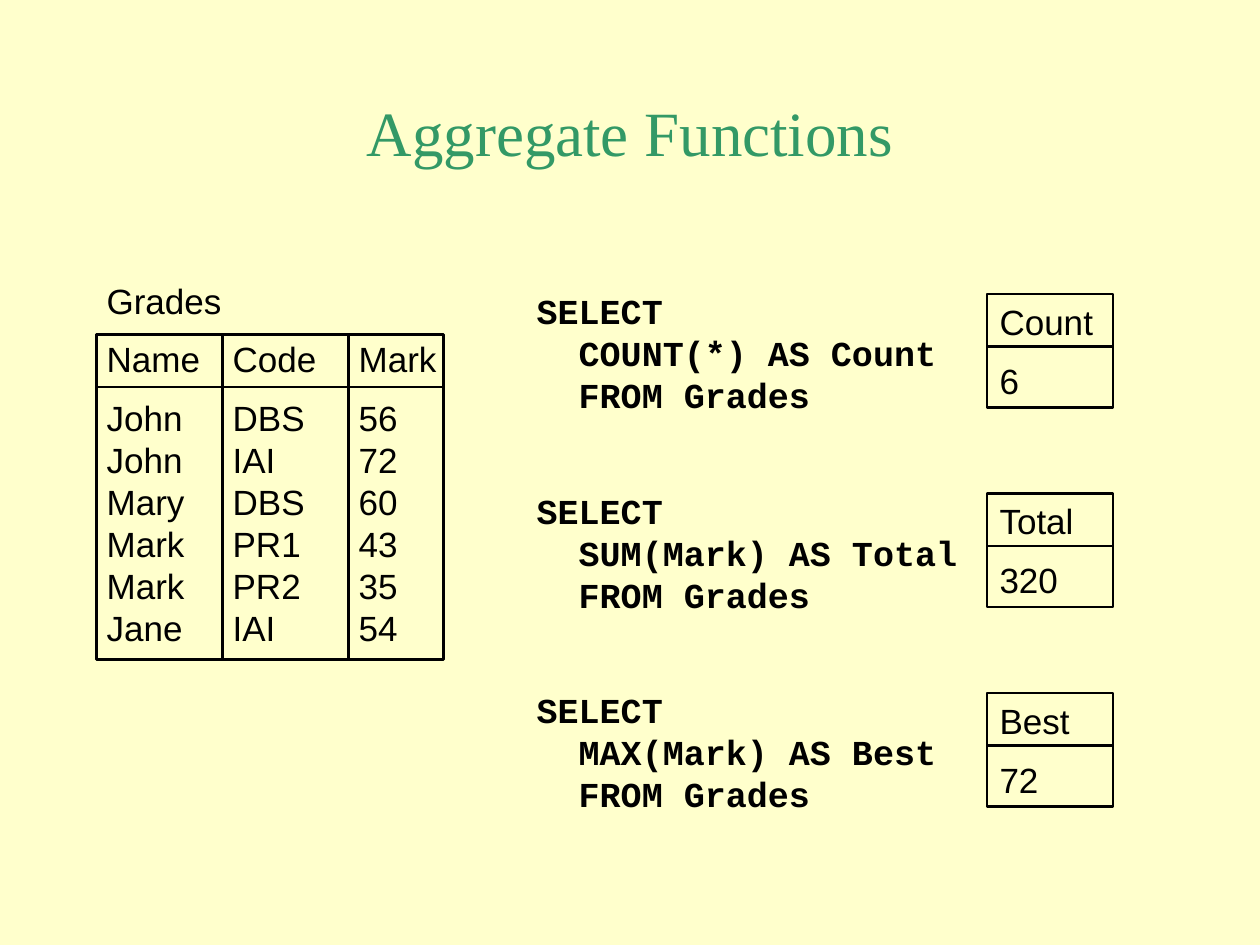
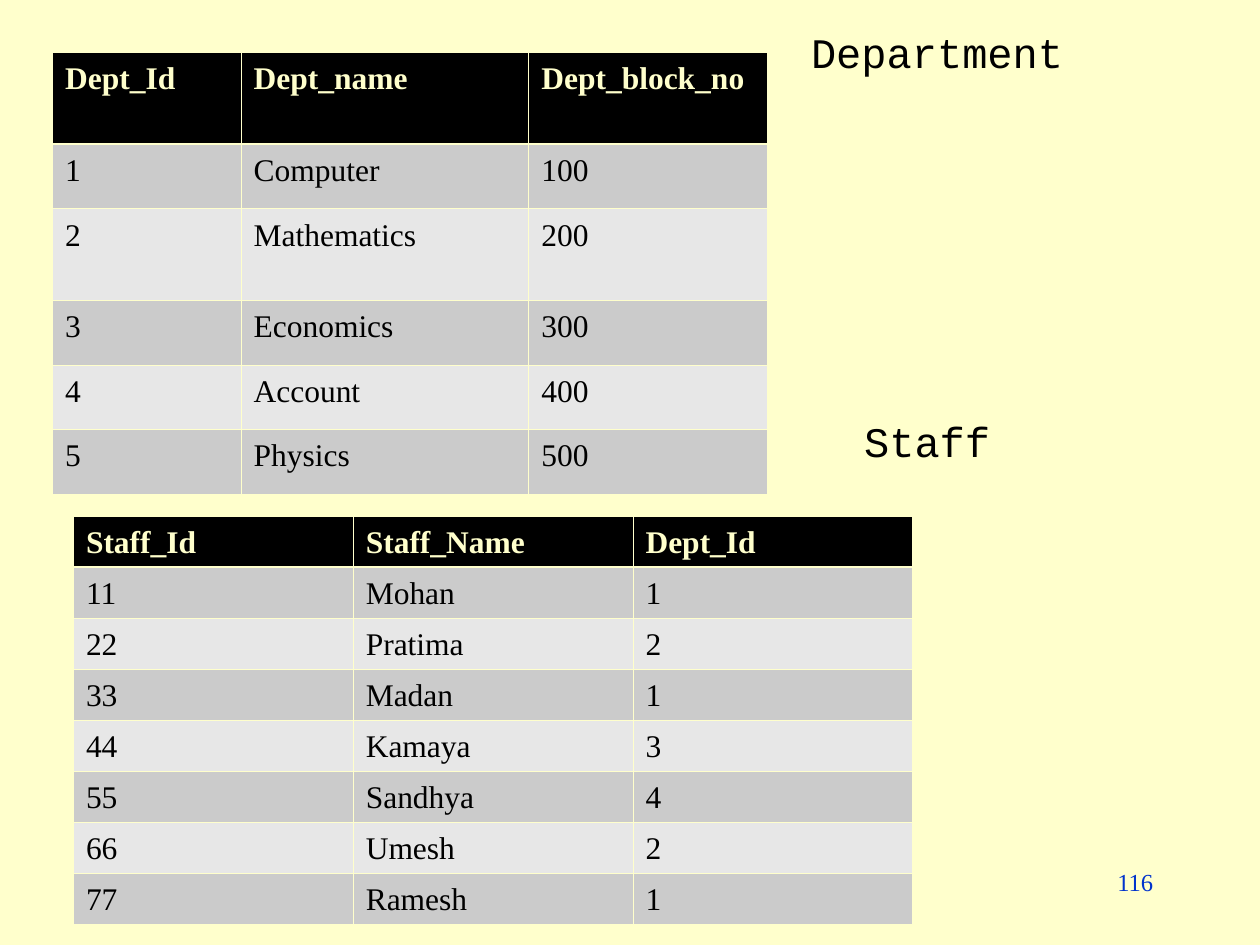
from lxml import etree
from pptx import Presentation
from pptx.dml.color import RGBColor
from pptx.enum.shapes import MSO_CONNECTOR, MSO_SHAPE
from pptx.enum.text import MSO_ANCHOR, PP_ALIGN
from pptx.oxml.ns import qn
from pptx.util import Cm, Pt

LEFT, CENTER, RIGHT = PP_ALIGN.LEFT, PP_ALIGN.CENTER, PP_ALIGN.RIGHT
TOP, MIDDLE = MSO_ANCHOR.TOP, MSO_ANCHOR.MIDDLE
RECTANGLE, STRAIGHT = MSO_SHAPE.RECTANGLE, MSO_CONNECTOR.STRAIGHT

CREAM, BLACK, GREEN, BLUE = "FFFFCC", "000000", "339966", "0033CC"
BANDS = "CBCBCB", "E7E7E7"
SERIF, SANS, MONO = "Times New Roman", "Arial", "Courier New"
INCH = 2.54
HEADER_HEIGHT = 1.06


def color(value):
    """Return the colour for a hex string."""
    return RGBColor.from_string(value)


def write(tf, text, size=20, font=SANS, fill=BLACK, bold=False,
          align=LEFT, anchor=TOP, wrap=True, gaps=(), tabs=()):
    """Fill a text frame line by line; gaps lists the lines that get space before."""
    tf.word_wrap = wrap
    tf.vertical_anchor = anchor
    for i, line in enumerate(text.split("\n")):
        p = tf.paragraphs[0] if i == 0 else tf.add_paragraph()
        p.alignment = align
        p.line_spacing = Pt(1.2 * size)
        if i in gaps:
            p.space_before = Pt(9.6)
        if tabs:
            stops = etree.SubElement(p._p.get_or_add_pPr(), qn("a:tabLst"))
            for stop in tabs:
                etree.SubElement(stops, qn("a:tab"), pos=str(Cm(stop)), algn="l")
        r = p.add_run()
        r.text = line
        r.font.size, r.font.name, r.font.bold = Pt(size), font, bold
        r.font.color.rgb = color(fill)


def set_borders(cell, widths):
    """Draw cream cell borders from widths in points, keyed by side."""
    tc_pr = cell._tc.get_or_add_tcPr()
    for i, side in enumerate("LRTB"):
        ln = etree.Element(qn(f"a:ln{side}"), w=str(Pt(widths.get(side, 0.45))))
        solid = etree.SubElement(ln, qn("a:solidFill"))
        etree.SubElement(solid, qn("a:srgbClr"), val=CREAM)
        tc_pr.insert(i, ln)


class Deck:
    """Hold the shared style and the current slide."""

    def __init__(self):
        """Start a 10 by 7.5 inch deck with a cream background."""
        self.prs = Presentation()
        self.prs.slide_width, self.prs.slide_height = Cm(25.4), Cm(19.05)
        fill = self.prs.slide_master.background.fill
        fill.solid()
        fill.fore_color.rgb = color(CREAM)

    def add_slide(self):
        """Move on to a new blank slide."""
        self.s = self.prs.slides.add_slide(self.prs.slide_layouts[6])

    def text(self, x, y, w, h, text, **style):
        """Add a text box."""
        sp = self.s.shapes.add_textbox(Cm(x), Cm(y), Cm(w), Cm(h))
        write(sp.text_frame, text, **style)

    def title(self, text):
        """Add the slide title."""
        self.text(1.9, 1.7, 21.6, 1.9, text, size=36, font=SERIF,
                  fill=GREEN, align=CENTER, anchor=MIDDLE)

    def number(self, text):
        """Add the slide number."""
        self.text(18.2, 17.35, 5.3, 1.27, text, size=14, font=SERIF,
                  fill=BLUE, align=RIGHT)

    def box(self, x, y, w, h, text="", **style):
        """Add an outlined rectangle, with text if given."""
        sp = self.s.shapes.add_shape(RECTANGLE, Cm(x), Cm(y), Cm(w), Cm(h))
        sp.shadow.inherit = False
        sp.fill.background()
        sp.line.color.rgb = color(BLACK)
        sp.line.width = Pt(1.5)
        if text:
            write(sp.text_frame, text, **style)

    def line(self, x1, y1, x2, y2):
        """Add a straight rule."""
        sp = self.s.shapes.add_connector(STRAIGHT, Cm(x1), Cm(y1), Cm(x2), Cm(y2))
        sp.line.color.rgb = color(BLACK)
        sp.line.width = Pt(1.5)
        etree.SubElement(sp._element.spPr, qn("a:effectLst"))

    def table(self, x, y, widths, heights, rows):
        """Add a banded table with a black header row."""
        table = self.s.shapes.add_table(
            len(rows), len(widths), Cm(x), Cm(y),
            Cm(sum(widths)), Cm(sum(heights))).table
        for column, width in zip(table.columns, widths):
            column.width = Cm(width)
        for i, (row, height) in enumerate(zip(rows, heights)):
            table.rows[i].height = Cm(height)
            header = i == 0
            borders = {0: {"B": 1.47}, 1: {"T": 1.47}}.get(i, {})
            for j, value in enumerate(row):
                cell = table.cell(i, j)
                cell.fill.solid()
                cell.fill.fore_color.rgb = color(BLACK if header else BANDS[(i - 1) % 2])
                set_borders(cell, borders)
                write(cell.text_frame, value, size=18, font=SERIF,
                      fill=CREAM if header else BLACK, bold=header)


GRADES = [
    ("Grades",),
    ("Name", "Code", "Mark"),
    ("John", "DBS", "56"),
    ("John", "IAI", "72"),
    ("Mary", "DBS", "60"),
    ("Mark", "PR1", "43"),
    ("Mark", "PR2", "35"),
    ("Jane", "IAI", "54"),
]
QUERIES = [
    ("COUNT(*)", "Count", "6", 8.56),
    ("SUM(Mark)", "Total", "320", 8.99),
    ("MAX(Mark)", "Best", "72", 8.56),
]
DEPARTMENTS = [
    ("Dept_Id", "Dept_name", "Dept_block_no"),
    ("1", "Computer", "100"),
    ("2", "Mathematics", "200"),
    ("3", "Economics", "300"),
    ("4", "Account", "400"),
    ("5", "Physics", "500"),
]
STAFF = [
    ("Staff_Id", "Staff_Name", "Dept_Id"),
    ("11", "Mohan", "1"),
    ("22", "Pratima", "2"),
    ("33", "Madan", "1"),
    ("44", "Kamaya", "3"),
    ("55", "Sandhya", "4"),
    ("66", "Umesh", "2"),
    ("77", "Ramesh", "1"),
]


def aggregate_slide(deck):
    """Show the grades and three aggregate queries with their results."""
    deck.add_slide()
    deck.title("Aggregate Functions")

    x, y, w, h = 1.95, 6.74, 6.99, 6.56
    deck.text(1.9, 5.5, 7.16, 7.72, "\n".join("\t".join(row) for row in GRADES),
              wrap=False, gaps=(1, 2), tabs=(INCH, 2 * INCH))
    deck.box(x, y, w, h)
    for i in (1, 2):
        deck.line(x + i * INCH, y, x + i * INCH, y + h)
    deck.line(x, y + HEADER_HEIGHT, x + w, y + HEADER_HEIGHT)

    for i, (function, name, result, width) in enumerate(QUERIES):
        x, y = 19.9, 5.93 + 4.02 * i
        deck.text(10.57, y - 0.21, width, 2.8,
                  f"SELECT\n  {function} AS {name}\n  FROM Grades",
                  font=MONO, bold=True, wrap=False)
        deck.box(x, y, INCH, 2.29, f"{name}\n{result}", gaps=(1,))
        deck.line(x, y + HEADER_HEIGHT, x + INCH, y + HEADER_HEIGHT)


def tables_slide(deck):
    """Show the department and staff tables."""
    deck.add_slide()
    deck.table(1.06, 1.06, (3.8, 5.8, 4.8), (1.85, 1.3, 1.85, 1.3, 1.3, 1.3), DEPARTMENTS)
    deck.number("116")
    deck.table(1.48, 10.4, [5.64] * 3, [1.03] * len(STAFF), STAFF)
    deck.text(16.1, 0.41, 5.59, 1.27, "Department", size=24, font=MONO, wrap=False)
    deck.text(17.17, 8.26, 3.05, 1.27, "Staff", size=24, font=MONO, wrap=False)


def main():
    """Build and save the deck."""
    deck = Deck()
    aggregate_slide(deck)
    tables_slide(deck)
    deck.prs.save("out.pptx")


if __name__ == "__main__":
    main()
